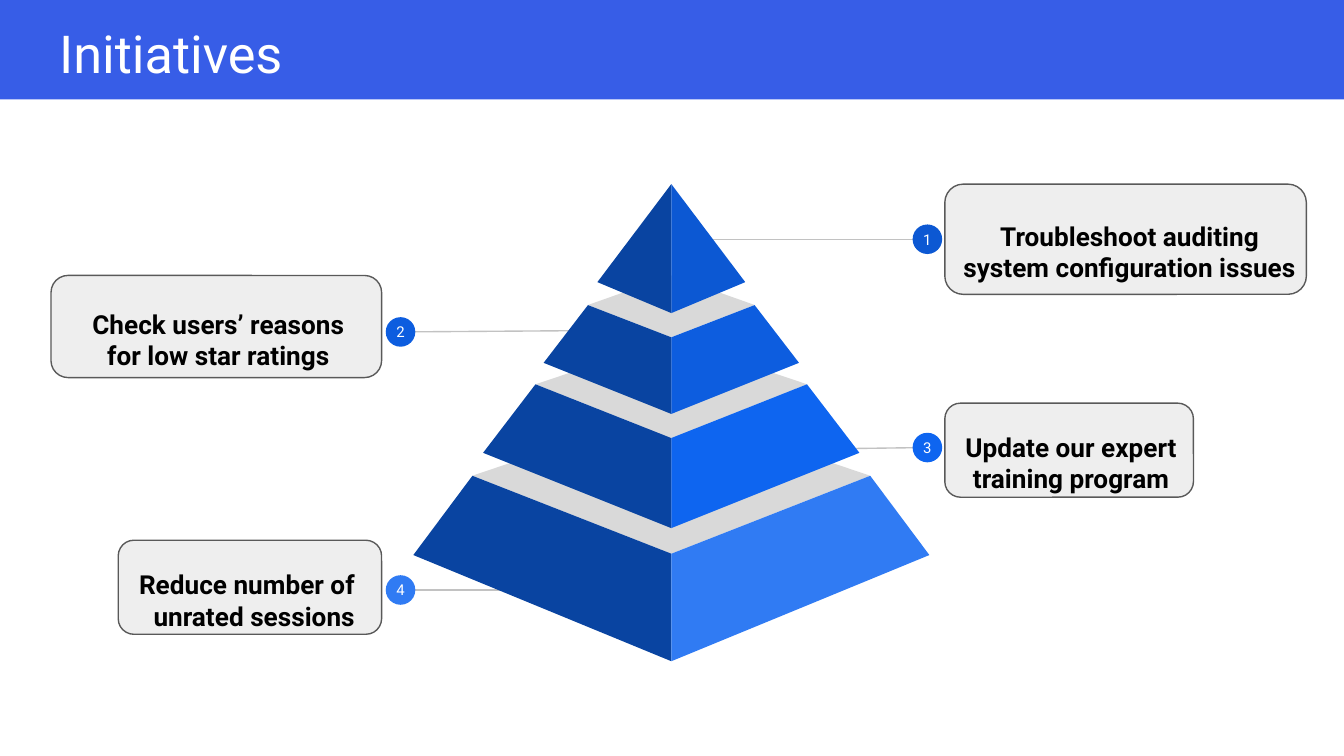
from dataclasses import dataclass

from lxml import etree
from pptx import Presentation
from pptx.dml.color import RGBColor
from pptx.enum import shapes as kinds, text as txt
from pptx.oxml import ns
from pptx.util import Inches, Pt


@dataclass(frozen=True)
class Theme:
    """Colours, font and type sizes of the deck."""
    font: str = "Roboto"
    band: str = "375DE7"
    white: str = "FFFFFF"
    ink: str = "000000"
    card: str = "EEEEEE"
    card_edge: str = "595959"
    leader: str = "C2C2C2"
    lid: str = "D9D9D9"
    shade: str = "0944A1"
    tiers: tuple = ("0C58D3", "0D5DDF", "0E65F0", "307BF3")
    title_size: int = 28
    label_size: int = 14
    badge_size: int = 8
    stroke: float = 0.75


THEME = Theme()
CENTER, RIGHT = txt.PP_ALIGN.CENTER, txt.PP_ALIGN.RIGHT


def write(holder, wording, size, color, bold=False, align=txt.PP_ALIGN.LEFT,
          anchor=txt.MSO_ANCHOR.MIDDLE, insets=(0, 0, 0, 0)):
    """Put formatted wording into a shape; insets run left, top, right, bottom."""
    frame = holder.text_frame
    frame.word_wrap = True
    frame.auto_size = txt.MSO_AUTO_SIZE.NONE
    frame.vertical_anchor = anchor
    (frame.margin_left, frame.margin_top,
     frame.margin_right, frame.margin_bottom) = map(Inches, insets)
    paragraph = frame.paragraphs[0]
    paragraph.alignment = align
    run = paragraph.add_run()
    run.text = wording
    run.font.name, run.font.size, run.font.bold = THEME.font, Pt(size), bold
    run.font.color.rgb = RGBColor.from_string(color)


def paint(shape, fill, edge=None):
    """Give a shape a flat fill and an optional outline."""
    shape.shadow.inherit = False
    shape.fill.solid()
    shape.fill.fore_color.rgb = RGBColor.from_string(fill)
    if edge:
        shape.line.color.rgb = RGBColor.from_string(edge)
        shape.line.width = Pt(THEME.stroke)
    else:
        shape.line.fill.background()


def add_preset(shapes, kind, box, fill, edge=None):
    """Add a painted preset shape in a box of inches."""
    shape = shapes.add_shape(kind, *map(Inches, box))
    paint(shape, fill, edge)
    return shape


def add_leader(shapes, start, end):
    """Draw a thin straight line between two points."""
    leader = shapes.add_connector(kinds.MSO_CONNECTOR.STRAIGHT,
                                  *map(Inches, (*start, *end)))
    leader.line.color.rgb = RGBColor.from_string(THEME.leader)
    leader.line.width = Pt(THEME.stroke)
    etree.SubElement(leader.element.spPr, ns.qn("a:effectLst"))


def add_facet(shapes, points, fill):
    """Draw a filled polygon through points in inches."""
    first, *rest = [(Inches(x), Inches(y)) for x, y in points]
    outline = shapes.build_freeform(*first)
    outline.add_line_segments(rest, close=True)
    paint(outline.convert_to_shape(), fill)


def add_header(slide, box, wording):
    """Place the colour band with the slide title on it."""
    left, top, width, height = box
    add_preset(slide.shapes, kinds.MSO_SHAPE.RECTANGLE, box, THEME.band)
    title = slide.shapes.title
    title.left, title.top = Inches(left + 0.35), Inches(top + 0.07)
    title.width, title.height = Inches(width - 0.69), Inches(height - 0.12)
    write(title, wording, THEME.title_size, THEME.white,
          anchor=txt.MSO_ANCHOR.TOP, insets=(0.1,) * 4)
    title.element.getparent().append(title.element)


def add_callout(slide, box, number, wording, label, badge_drop, target,
                align=CENTER):
    """Place a card, its label, and a numbered badge led to the pyramid."""
    left, top, width, height = box
    shapes = slide.shapes.add_group_shape().shapes
    add_preset(shapes, kinds.MSO_SHAPE.ROUNDED_RECTANGLE, box,
               THEME.card, THEME.card_edge)

    on_right = target[0] > left + width
    badge_x = left + width + 0.14 if on_right else left - 0.13
    badge_y = top + badge_drop
    add_leader(shapes, target, (badge_x, badge_y))
    badge = add_preset(shapes, kinds.MSO_SHAPE.OVAL,
                       (badge_x - 0.11, badge_y - 0.11, 0.22, 0.22),
                       THEME.tiers[number - 1])
    write(badge, str(number), THEME.badge_size, THEME.white, align=CENTER)

    dx, dy, label_width, label_height = label
    caption = shapes.add_textbox(*map(Inches, (left + dx, top + dy,
                                               label_width, label_height)))
    write(caption, wording, THEME.label_size, THEME.ink, bold=True,
          align=align, insets=(0.1, 0, 0.1, 0.39))


def add_pyramid(slide, box, tiers):
    """Stack two-sided tiers with their lids, from the base up to the tip."""
    left, top, width, height = box
    shapes = slide.shapes.add_group_shape().shapes
    axis = left + width / 2

    def at(x, y):
        """Turn an offset from the tip into a slide point."""
        return axis + x, top + y

    for tier, color in reversed(list(zip(tiers, THEME.tiers))):
        back, (rim, rim_y), front, (foot, foot_y), base = tier
        if rim:
            add_facet(shapes, [at(-rim, rim_y), at(0, front),
                               at(rim, rim_y), at(0, back)], THEME.lid)
        for side, fill in ((-1, THEME.shade), (1, color)):
            add_facet(shapes, [at(side * rim, rim_y), at(0, front),
                               at(0, base), at(side * foot, foot_y)], fill)


def build():
    """Build and save the initiatives slide."""
    deck = Presentation()
    deck.slide_width = Inches(10)
    deck.slide_height = deck.slide_width * 9 // 16
    slide = deck.slides.add_slide(deck.slide_layouts[5])
    add_header(slide, (-0.01, -0.01, 10.01, 0.75), "Initiatives")

    add_callout(slide, (7.03, 1.37, 2.69, 0.82), 1,
                "Troubleshoot auditing system configuration issues",
                (0, 0.12, 2.75, 1.15), 0.41, (5.29, 1.78))
    add_callout(slide, (0.38, 2.05, 2.46, 0.76), 2,
                "Check users’ reasons for low star ratings",
                (0.07, 0.14, 2.35, 1.06), 0.42, (4.39, 2.46))
    add_callout(slide, (7.03, 3, 1.85, 0.7), 3,
                "Update our expert training program",
                (-0.27, 0.06, 2.42, 1.15), 0.33, (6.15, 3.34))
    add_callout(slide, (0.88, 4.02, 1.96, 0.7), 4,
                "Reduce number of unrated sessions",
                (-0.38, 0.26, 2.24, 0.76), 0.37, (4.13, 4.39), align=RIGHT)

    add_pyramid(slide, (3.08, 1.37, 3.83, 3.55), [
        (0, (0, 0), 0, (0.55, 0.73), 0.96),
        (0.68, (0.62, 0.9), 1.14, (0.95, 1.33), 1.71),
        (1.15, (1.01, 1.49), 1.89, (1.4, 2), 2.56),
        (1.67, (1.48, 2.17), 2.75, (1.92, 2.76), 3.55),
    ])
    deck.save("out.pptx")


if __name__ == "__main__":
    build()
